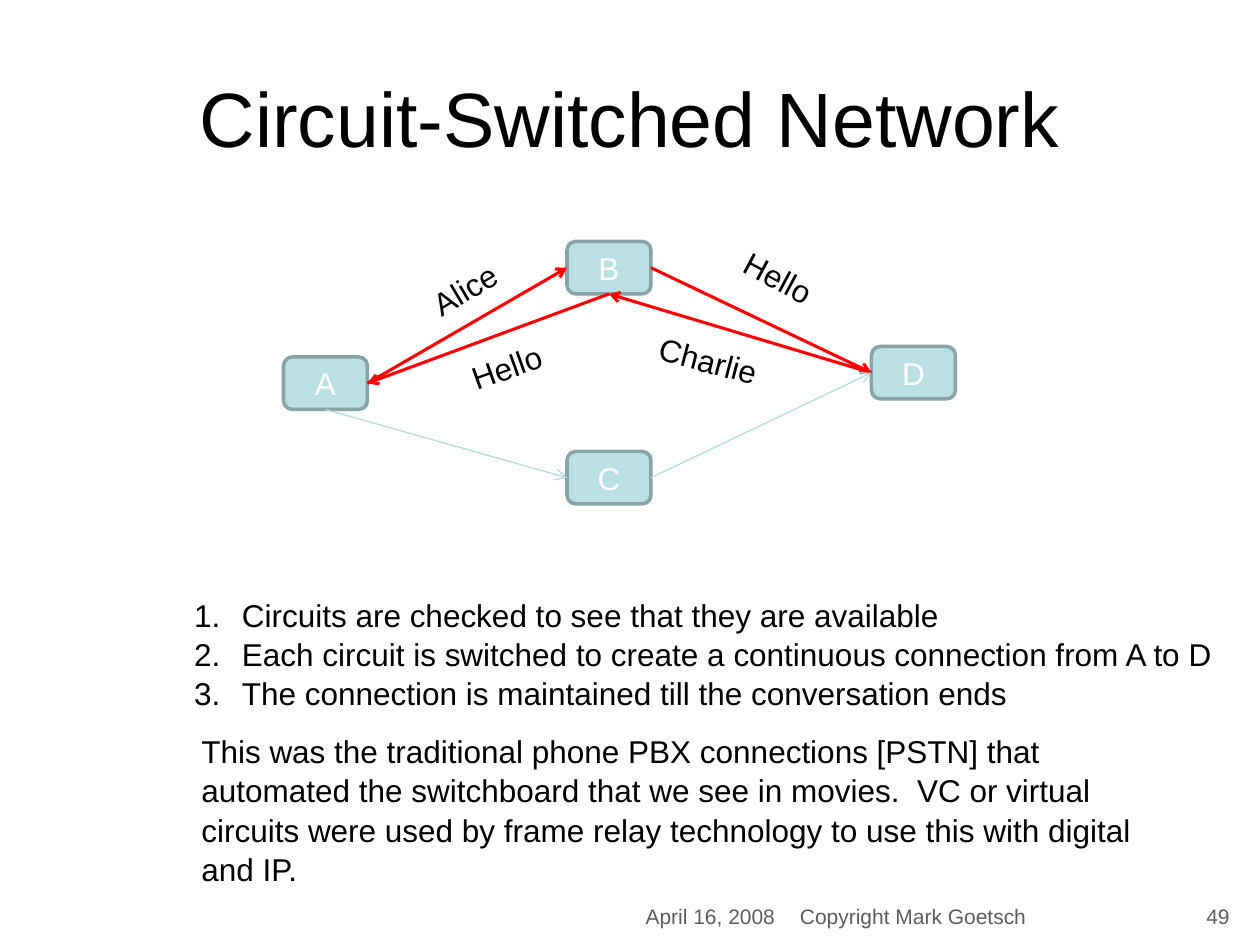
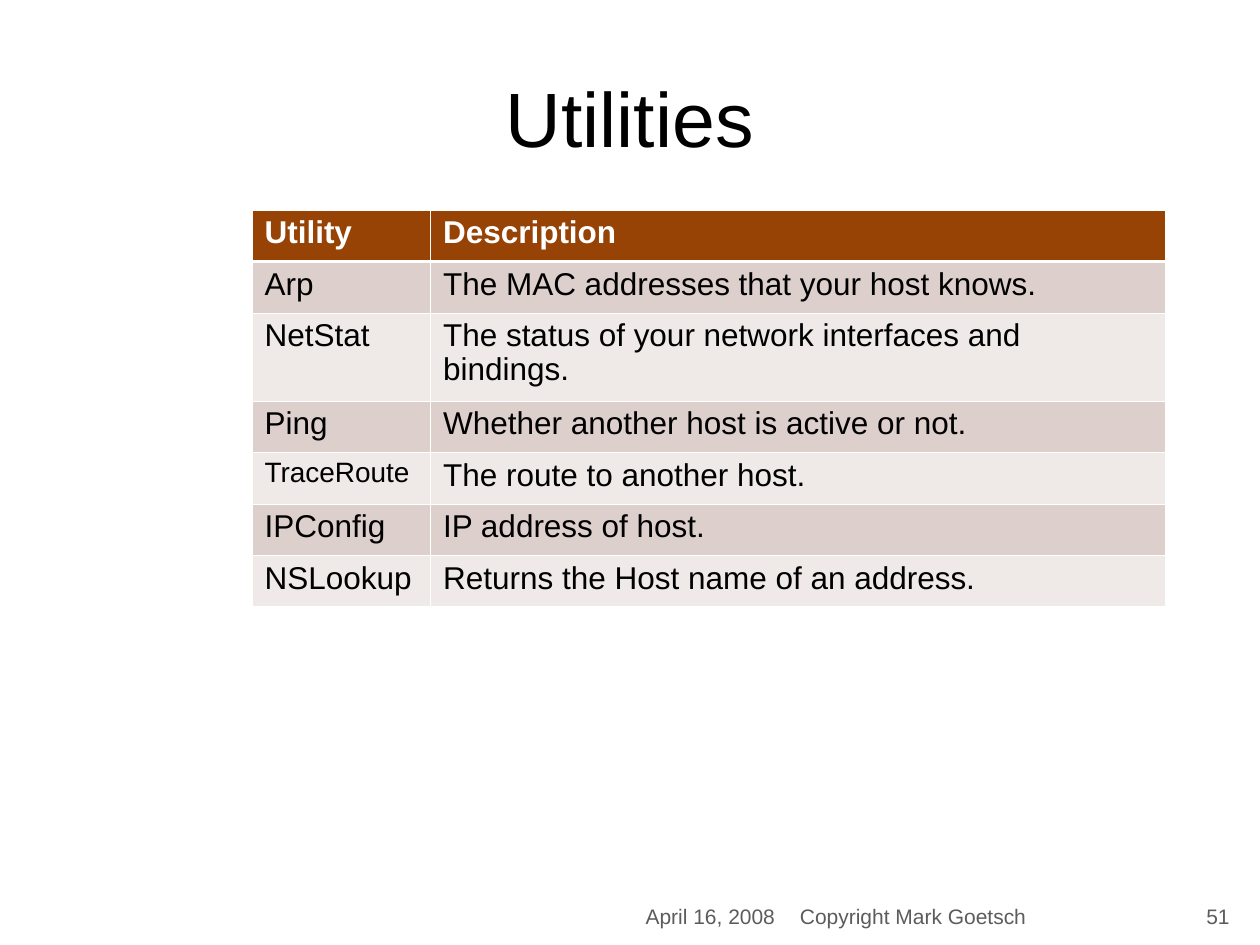
from dataclasses import dataclass

from lxml import etree
from pptx import Presentation
from pptx import util as u
from pptx.dml.color import RGBColor
from pptx.enum import shapes, text
from pptx.oxml import ns


@dataclass(frozen=True)
class Theme:
    """Colours, type sizes and line widths shared by the slides."""
    font: str = "Arial"
    ink: str = "000000"
    white: str = "FFFFFF"
    footer_ink: str = "5C5C5C"
    node_fill: str = "BBE0E3"
    node_line: str = "89A4A7"
    active: str = "FF0000"
    idle: str = "B6DCDF"
    header_fill: str = "964305"
    band_fills: tuple = ("DDCFCC", "EFE9E7")
    title_size: float = 44
    body_size: float = 18
    compact_size: float = 16
    footer_size: float = 12
    body_spacing: float = 1.04
    table_spacing: float = 0.97
    active_width: float = 1.75
    idle_width: float = 0.75
    node_width: float = 2
    rule_width: float = 0.45
    header_rule_width: float = 1.47


THEME = Theme()
WIDTH, HEIGHT = u.Inches(10), u.Inches(7.5)
COLUMNS, ROWS = 120, 90

TITLE_BOX = (6, 3.6, 108, 15)
FOOTER_BOX = (47, 82.8, 72, 6.25)
DIAGRAM_BOX = (27, 23, 64, 25)
STEPS_BOX = (17.3, 56, 99.6, 12)
REMARK_BOX = (18, 69, 92.6, 15.6)
TABLE_BOX = (24, 20, 87, 37.8)

NODE_SIZE = (8, 5)
NODES = {"A": (0, 11), "B": (27, 0), "C": (27, 20), "D": (56, 10)}
LEFT, BOTTOM, RIGHT = 1, 2, 3
CALL_LINKS = [
    ("A", RIGHT, "B", LEFT),
    ("B", RIGHT, "D", LEFT),
    ("D", LEFT, "B", BOTTOM),
    ("B", BOTTOM, "A", RIGHT),
]
IDLE_LINKS = [("A", BOTTOM, "C", LEFT), ("C", RIGHT, "D", LEFT)]
LABEL_HEIGHT = 4.8
LABELS = [
    ("Hello", 47.2, 3.3, 9.2, 28.1),
    ("Alice", 17.2, 4.4, 8.9, -30.8),
    ("Hello", 21.2, 11.8, 9.2, -19.7),
    ("Charlie", 40.5, 11.2, 11.9, 14.7),
]
STEPS = [
    "Circuits are checked to see that they are available",
    "Each circuit is switched to create a continuous connection from A to D",
    "The connection is maintained till the conversation ends",
]
REMARK = (
    "This was the traditional phone PBX connections [PSTN] that automated the "
    "switchboard that we see in movies.  VC or virtual circuits were used by "
    "frame relay technology to use this with digital and IP."
)
UTILITIES = [
    ("Utility", "Description"),
    ("Arp", "The MAC addresses that your host knows."),
    ("NetStat", "The status of your network interfaces and bindings."),
    ("Ping", "Whether another host is active or not."),
    ("TraceRoute", "The route to another host."),
    ("IPConfig", "IP address of host."),
    ("NSLookup", "Returns the Host name of an address."),
]
TABLE_COLUMNS = (17, 70)
ROW_HEIGHT, TALL_ROW_HEIGHT, TALL_ROW = 4.9, 8.4, 2


def across(columns):
    """Turn grid columns into a length."""
    return round(WIDTH * columns / COLUMNS)


def down(rows):
    """Turn grid rows into a length."""
    return round(HEIGHT * rows / ROWS)


def place(box):
    """Turn a grid box into left, top, width and height."""
    left, top, width, height = box
    return across(left), down(top), across(width), down(height)


def color(value):
    """Turn a hexadecimal string into a colour."""
    return RGBColor.from_string(value)


def add_xml(parent, tag, **attributes):
    """Append a drawing element with the given attributes."""
    return etree.SubElement(parent, ns.qn(tag), attributes)


def number(paragraph):
    """Give a paragraph a hanging automatic number."""
    properties = paragraph._p.get_or_add_pPr()
    indent = u.Inches(0.38)
    properties.set("marL", str(indent))
    properties.set("indent", str(-indent))
    add_xml(properties, "a:buFont", typeface=THEME.font)
    add_xml(properties, "a:buAutoNum", type="arabicPeriod")


def write(frame, content, size=THEME.body_size, ink=THEME.ink, bold=False,
          align=text.PP_ALIGN.LEFT, spacing=1.0, numbered=False):
    """Fill a text frame with one paragraph for each string."""
    lines = [content] if isinstance(content, str) else content
    for index, line in enumerate(lines):
        paragraph = frame.add_paragraph() if index else frame.paragraphs[0]
        paragraph.alignment = align
        paragraph.line_spacing = spacing
        if numbered:
            number(paragraph)
        run = paragraph.add_run()
        run.text = line
        run.font.name = THEME.font
        run.font.size = u.Pt(size)
        run.font.bold = bold
        run.font.color.rgb = color(ink)


def add_text(slide, box, content, anchor=text.MSO_ANCHOR.TOP, wrap=True, **style):
    """Add a text box on the grid."""
    shape = slide.shapes.add_textbox(*place(box))
    shape.text_frame.word_wrap = wrap
    shape.text_frame.vertical_anchor = anchor
    write(shape.text_frame, content, **style)
    return shape


def add_title(slide, box, title):
    """Add the centred slide title."""
    add_text(slide, box, title, anchor=text.MSO_ANCHOR.MIDDLE,
             size=THEME.title_size, align=text.PP_ALIGN.CENTER)


def add_footer(slide, box, page):
    """Add the date, copyright line and page number side by side."""
    left, top, _, height = box
    parts = [
        ("April 16, 2008", 28, text.PP_ALIGN.RIGHT),
        ("Copyright Mark Goetsch", 38, text.PP_ALIGN.LEFT),
        (str(page), 6, text.PP_ALIGN.CENTER),
    ]
    for content, width, align in parts:
        add_text(slide, (left, top, width, height), content, align=align,
                 anchor=text.MSO_ANCHOR.BOTTOM, size=THEME.footer_size,
                 ink=THEME.footer_ink)
        left += width


def add_node(slide, box, name):
    """Add a rounded network node."""
    node = slide.shapes.add_shape(shapes.MSO_SHAPE.ROUNDED_RECTANGLE, *place(box))
    node.shadow.inherit = False
    node.fill.solid()
    node.fill.fore_color.rgb = color(THEME.node_fill)
    node.line.color.rgb = color(THEME.node_line)
    node.line.width = u.Pt(THEME.node_width)
    node.text_frame.vertical_anchor = text.MSO_ANCHOR.MIDDLE
    write(node.text_frame, name, ink=THEME.white, align=text.PP_ALIGN.CENTER)
    return node


def add_links(slide, nodes, links, ink, width):
    """Connect pairs of nodes with arrows of one style."""
    for start, start_site, end, end_site in links:
        link = slide.shapes.add_connector(shapes.MSO_CONNECTOR.STRAIGHT, 0, 0, 0, 0)
        link.begin_connect(nodes[start], start_site)
        link.end_connect(nodes[end], end_site)
        link.line.color.rgb = color(ink)
        link.line.width = u.Pt(width)
        add_xml(link.line._get_or_add_ln(), "a:tailEnd", type="arrow")
        add_xml(link._element.spPr, "a:effectLst")


def add_diagram(slide, box):
    """Add the network with its call path, labels and idle path."""
    left, top, _, _ = box
    nodes = {
        name: add_node(slide, (left + x, top + y, *NODE_SIZE), name)
        for name, (x, y) in NODES.items()
    }
    add_links(slide, nodes, CALL_LINKS, THEME.active, THEME.active_width)
    for content, x, y, width, angle in LABELS:
        label_box = (left + x - width / 2, top + y - LABEL_HEIGHT / 2,
                     width, LABEL_HEIGHT)
        label = add_text(slide, label_box, content, wrap=False,
                         spacing=THEME.body_spacing)
        label.rotation = angle
    add_links(slide, nodes, IDLE_LINKS, THEME.idle, THEME.idle_width)


def rule_cell(cell, widths):
    """Draw white rules on the sides of a cell."""
    properties = cell._tc.get_or_add_tcPr()
    for side in "LRTB":
        rule = add_xml(properties, f"a:ln{side}", w=str(u.Pt(widths[side])))
        fill = add_xml(rule, "a:solidFill")
        add_xml(fill, "a:srgbClr", val=THEME.white)


def style_cell(cell, row, content):
    """Format one cell according to its row."""
    header = row == 0
    widths = dict.fromkeys("LRTB", THEME.rule_width)
    if row < 2:
        widths["B" if header else "T"] = THEME.header_rule_width
    rule_cell(cell, widths)
    cell.fill.solid()
    fill = THEME.header_fill if header else THEME.band_fills[(row - 1) % 2]
    cell.fill.fore_color.rgb = color(fill)
    write(cell.text_frame, content, bold=header, spacing=THEME.table_spacing,
          ink=THEME.white if header else THEME.ink,
          size=THEME.compact_size if content == "TraceRoute" else THEME.body_size)


def add_utility_table(slide, box):
    """Add the banded table of utilities."""
    frame = slide.shapes.add_table(len(UTILITIES), len(TABLE_COLUMNS), *place(box))
    table = frame.table
    for column, width in zip(table.columns, TABLE_COLUMNS):
        column.width = across(width)
    for index, entries in enumerate(UTILITIES):
        height = TALL_ROW_HEIGHT if index == TALL_ROW else ROW_HEIGHT
        table.rows[index].height = down(height)
        for column, content in enumerate(entries):
            style_cell(table.cell(index, column), index, content)


def add_slide(presentation, title, page):
    """Add a blank slide with the shared title and footer."""
    slide = presentation.slides.add_slide(presentation.slide_layouts[6])
    add_title(slide, TITLE_BOX, title)
    add_footer(slide, FOOTER_BOX, page)
    return slide


def build_circuit_slide(presentation):
    """Build the slide on circuit switching."""
    slide = add_slide(presentation, "Circuit-Switched Network", 49)
    add_diagram(slide, DIAGRAM_BOX)
    add_text(slide, STEPS_BOX, STEPS, wrap=False, numbered=True,
             spacing=THEME.body_spacing)
    add_text(slide, REMARK_BOX, REMARK, spacing=THEME.body_spacing)


def build_utilities_slide(presentation):
    """Build the slide listing network utilities."""
    slide = add_slide(presentation, "Utilities", 51)
    add_utility_table(slide, TABLE_BOX)


def main():
    """Build and save the presentation."""
    presentation = Presentation()
    presentation.slide_width, presentation.slide_height = WIDTH, HEIGHT
    build_circuit_slide(presentation)
    build_utilities_slide(presentation)
    presentation.save("out.pptx")


if __name__ == "__main__":
    main()
